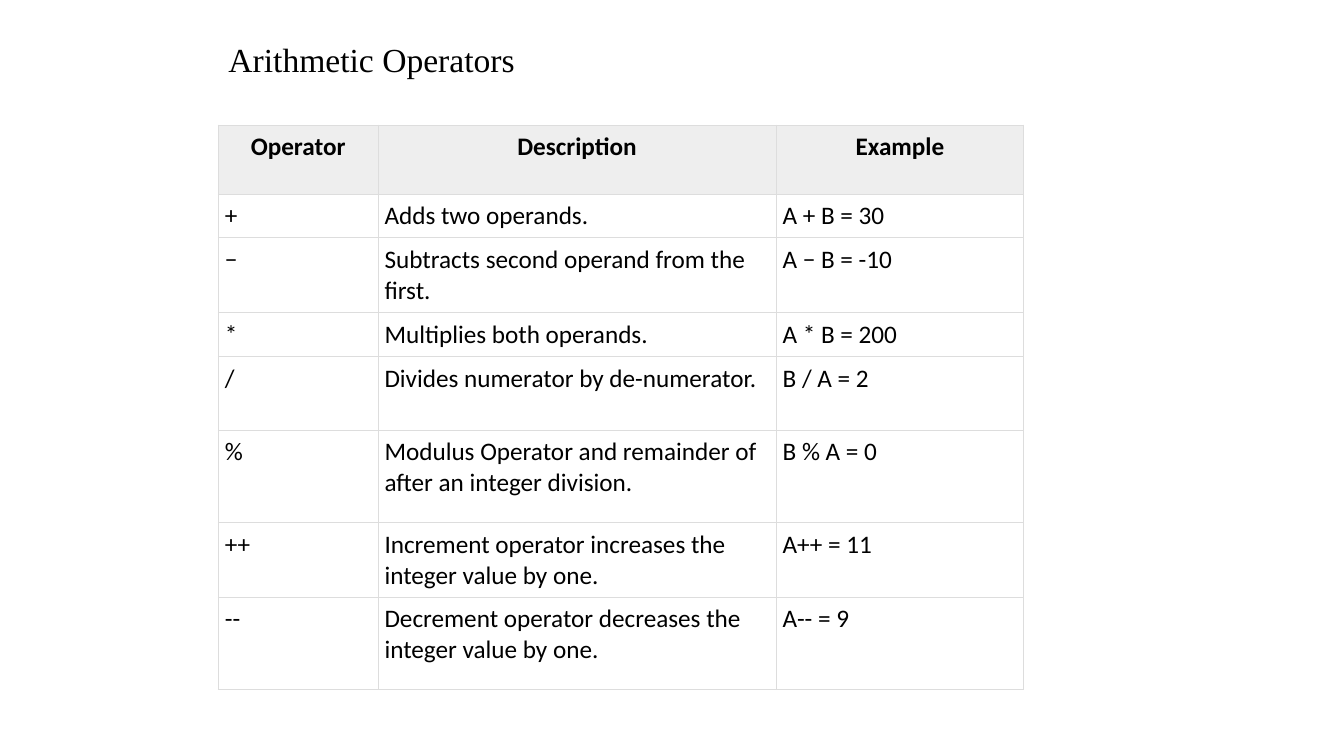
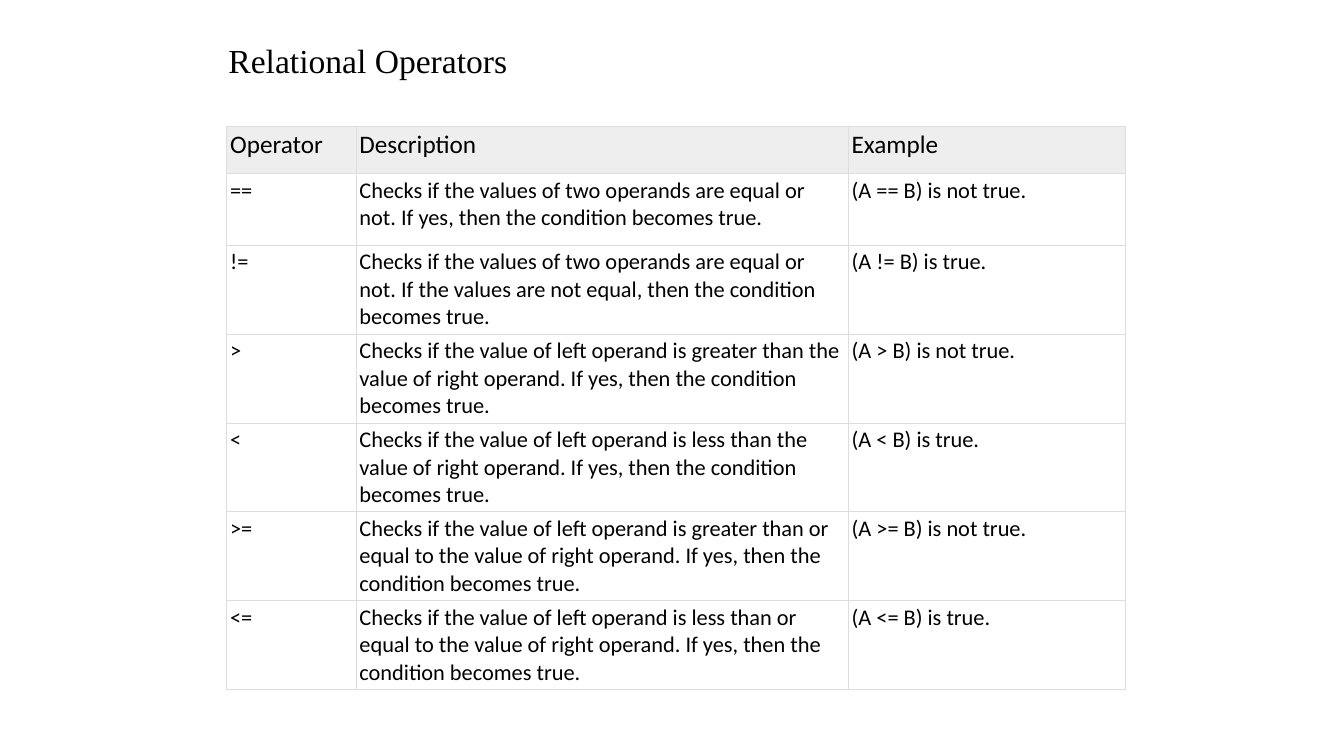
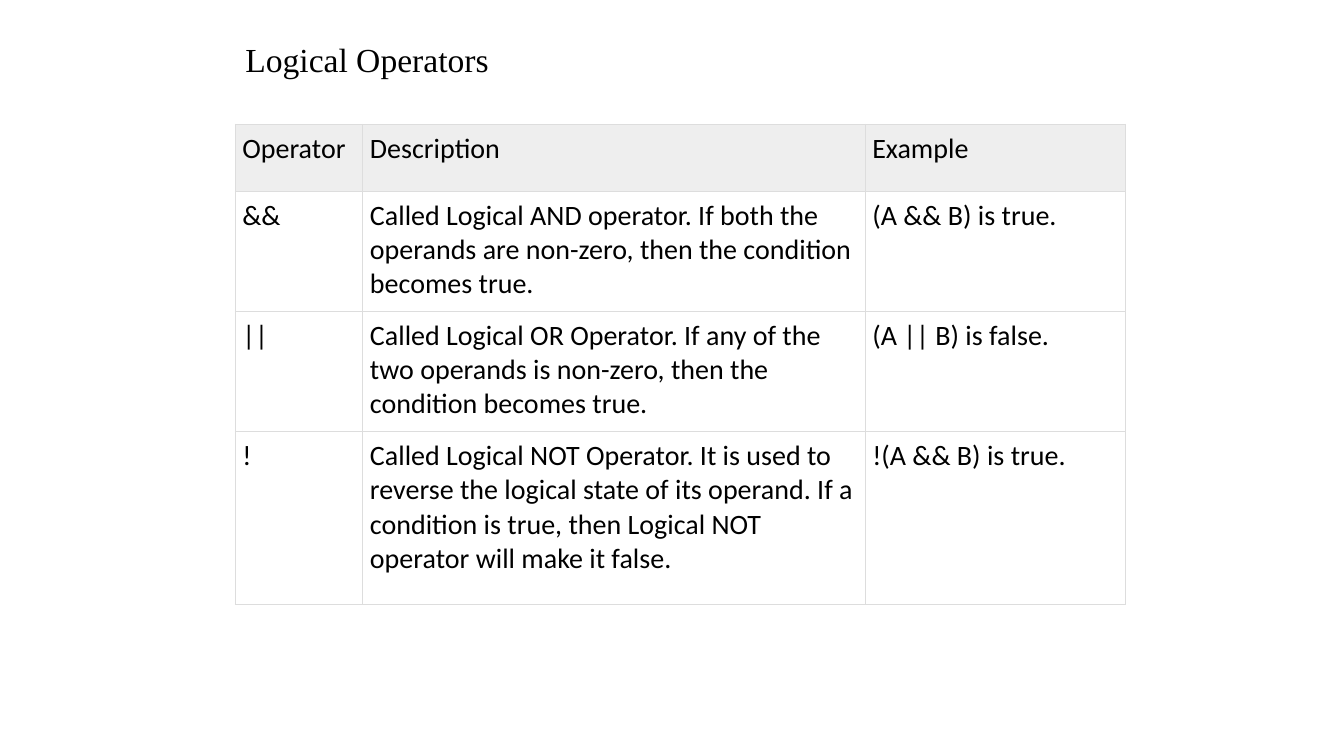
"""Build three slides of operator tables on a grid of 160 columns by 90 rows."""
from dataclasses import dataclass

from lxml.etree import SubElement
from pptx import Presentation
from pptx.dml.color import RGBColor
from pptx.enum.text import MSO_ANCHOR, MSO_AUTO_SIZE, PP_ALIGN
from pptx.oxml.ns import qn
from pptx.slide import Slide
from pptx.table import _Cell
from pptx.text.text import TextFrame
from pptx.util import Emu, Inches, Pt

COLORS = {"text": "000000", "header": "EEEEEE", "border": "DDDDDD"}
GRID_COLUMNS, GRID_ROWS = 160, 90
GRID_UNIT = Inches(1) / 12
TITLE_HEIGHT = 10.9
TITLE_ONLY_LAYOUT = 5
HEADINGS = ("Operator", "Description", "Example")


@dataclass(frozen=True)
class OperatorTable:
    """Hold one slide's wording, its grid lengths and its text format."""

    title: str
    title_left: float
    title_top: float
    title_width: float
    left: float
    top: float
    column_widths: tuple[float, ...]
    row_heights: tuple[float, ...]
    margin: float
    entries: tuple[tuple[str, str, str], ...]
    header_size: int = 18
    body_size: int = 18
    header_bold: bool = False
    header_alignment: PP_ALIGN = PP_ALIGN.LEFT


def grid(units: float) -> Emu:
    """Turn grid units into a length."""
    return Emu(round(units * GRID_UNIT))


def write_text(frame: TextFrame, text: str, *, size: int, font: str = "Calibri",
               bold: bool = False, alignment: PP_ALIGN = PP_ALIGN.LEFT) -> None:
    """Write one formatted paragraph into a text frame."""
    frame.word_wrap = True
    paragraph = frame.paragraphs[0]
    paragraph.alignment = alignment
    run = paragraph.add_run()
    run.text = text
    run.font.name = font
    run.font.size = Pt(size)
    run.font.bold = bold
    run.font.color.rgb = RGBColor.from_string(COLORS["text"])


def add_borders(cell: _Cell) -> None:
    """Draw a thin line on each side of a cell."""
    properties = cell._tc.get_or_add_tcPr()
    for side in ("lnL", "lnR", "lnT", "lnB"):
        line = SubElement(properties, qn(f"a:{side}"), w=str(Pt(0.75)))
        fill = SubElement(line, qn("a:solidFill"))
        SubElement(fill, qn("a:srgbClr"), val=COLORS["border"])


def add_title(slide: Slide, content: OperatorTable) -> None:
    """Place and format the title placeholder."""
    title = slide.shapes.title
    title.left, title.top = grid(content.title_left), grid(content.title_top)
    title.width, title.height = grid(content.title_width), grid(TITLE_HEIGHT)
    title.text_frame.auto_size = MSO_AUTO_SIZE.NONE
    title.text_frame.vertical_anchor = MSO_ANCHOR.TOP
    write_text(title.text_frame, content.title, size=24, font="Times New Roman")


def format_cell(cell: _Cell, text: str, content: OperatorTable, is_header: bool) -> None:
    """Give a cell its borders, fill, margins and text."""
    add_borders(cell)
    cell.margin_left = cell.margin_right = grid(content.margin)
    cell.margin_top = cell.margin_bottom = grid(content.margin)
    if is_header:
        cell.fill.solid()
        cell.fill.fore_color.rgb = RGBColor.from_string(COLORS["header"])
        write_text(cell.text_frame, text, size=content.header_size,
                   bold=content.header_bold, alignment=content.header_alignment)
    else:
        cell.fill.background()
        write_text(cell.text_frame, text, size=content.body_size)


def add_operator_table(slide: Slide, content: OperatorTable) -> None:
    """Add the table of operators below the title."""
    lines = (HEADINGS, *content.entries)
    table = slide.shapes.add_table(
        len(lines), len(HEADINGS), grid(content.left), grid(content.top),
        grid(sum(content.column_widths)), grid(sum(content.row_heights))).table
    table.first_row = table.horz_banding = False
    for column, width in zip(table.columns, content.column_widths):
        column.width = grid(width)
    for row_index, (row, height, texts) in enumerate(
            zip(table.rows, content.row_heights, lines)):
        row.height = grid(height)
        for cell, text in zip(row.cells, texts):
            format_cell(cell, text, content, row_index == 0)


def condition(test: str) -> str:
    """Describe a check of the left operand against the right one."""
    return (f"Checks if the value of left operand is {test} the value of right operand. "
            "If yes, then the condition becomes true.")


OPERATOR_TABLES = (
    OperatorTable(
        title="Arithmetic Operators", title_left=26, title_top=4, title_width=103,
        left=26, top=14.9, column_widths=(19, 47.4, 29.5),
        row_heights=(8.2, 5.2, 8.8, 5.2, 8.8, 11, 8.8, 11), margin=0.78,
        header_bold=True, header_alignment=PP_ALIGN.CENTER,
        entries=(
            ("+", "Adds two operands.", "A + B = 30"),
            ("−", "Subtracts second operand from the first.", "A − B = -10"),
            ("*", "Multiplies both operands.", "A * B = 200"),
            ("/", "Divides numerator by de-numerator.", "B / A = 2"),
            ("%", "Modulus Operator and remainder of after an integer division.",
             "B % A = 0"),
            ("++", "Increment operator increases the integer value by one.", "A++ = 11"),
            ("--", "Decrement operator decreases the integer value by one.", "A-- = 9"),
        )),
    OperatorTable(
        title="Relational Operators", title_left=26, title_top=4.1, title_width=108,
        left=27, top=15, column_widths=(15.4, 58.6, 33),
        row_heights=(5.7, 8.5) + (10.55,) * 5, margin=0.4, body_size=16,
        entries=(
            ("==", "Checks if the values of two operands are equal or not. "
             "If yes, then the condition becomes true.", "(A == B) is not true."),
            ("!=", "Checks if the values of two operands are equal or not. "
             "If the values are not equal, then the condition becomes true.",
             "(A != B) is true."),
            (">", condition("greater than"), "(A > B) is not true."),
            ("<", condition("less than"), "(A < B) is true."),
            (">=", condition("greater than or equal to"), "(A >= B) is not true."),
            ("<=", condition("less than or equal to"), "(A <= B) is true."),
        )),
    OperatorTable(
        title="Logical Operators", title_left=28, title_top=4, title_width=100,
        left=28, top=14.8, column_widths=(15.2, 59.8, 31),
        row_heights=(8, 14.3, 14.3, 20.6), margin=0.85, header_size=20, body_size=20,
        entries=(
            ("&&", "Called Logical AND operator. If both the operands are non-zero, "
             "then the condition becomes true.", "(A && B) is true."),
            ("||", "Called Logical OR Operator. If any of the two operands is non-zero, "
             "then the condition becomes true.", "(A || B) is false."),
            ("!", "Called Logical NOT Operator. It is used to reverse the logical state "
             "of its operand. If a condition is true, then Logical NOT operator will "
             "make it false.", "!(A && B) is true."),
        )),
)


def main() -> None:
    """Build and save the presentation."""
    presentation = Presentation()
    presentation.slide_width = grid(GRID_COLUMNS)
    presentation.slide_height = grid(GRID_ROWS)
    for content in OPERATOR_TABLES:
        slide = presentation.slides.add_slide(presentation.slide_layouts[TITLE_ONLY_LAYOUT])
        add_title(slide, content)
        add_operator_table(slide, content)
    presentation.save("out.pptx")


main()
